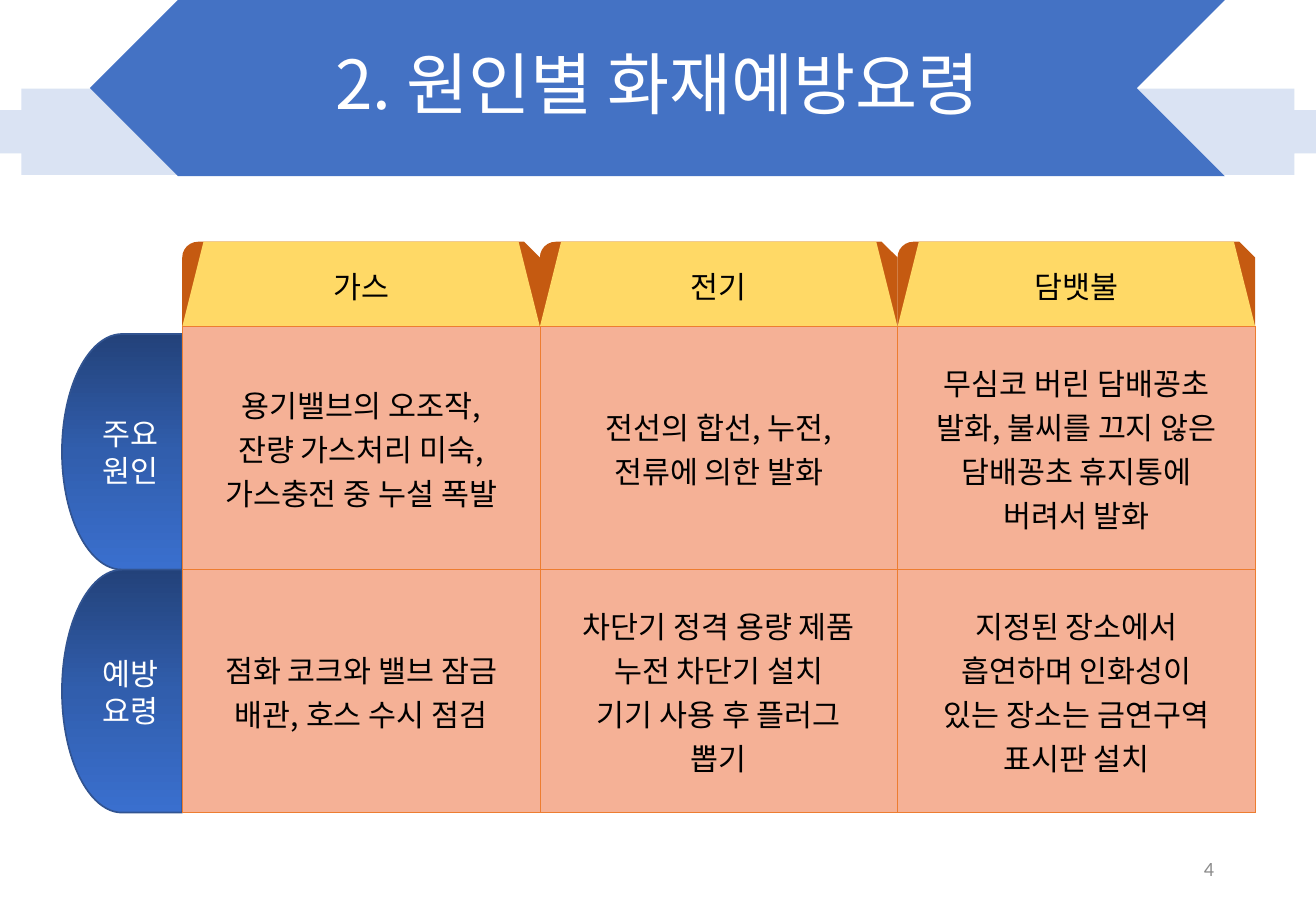
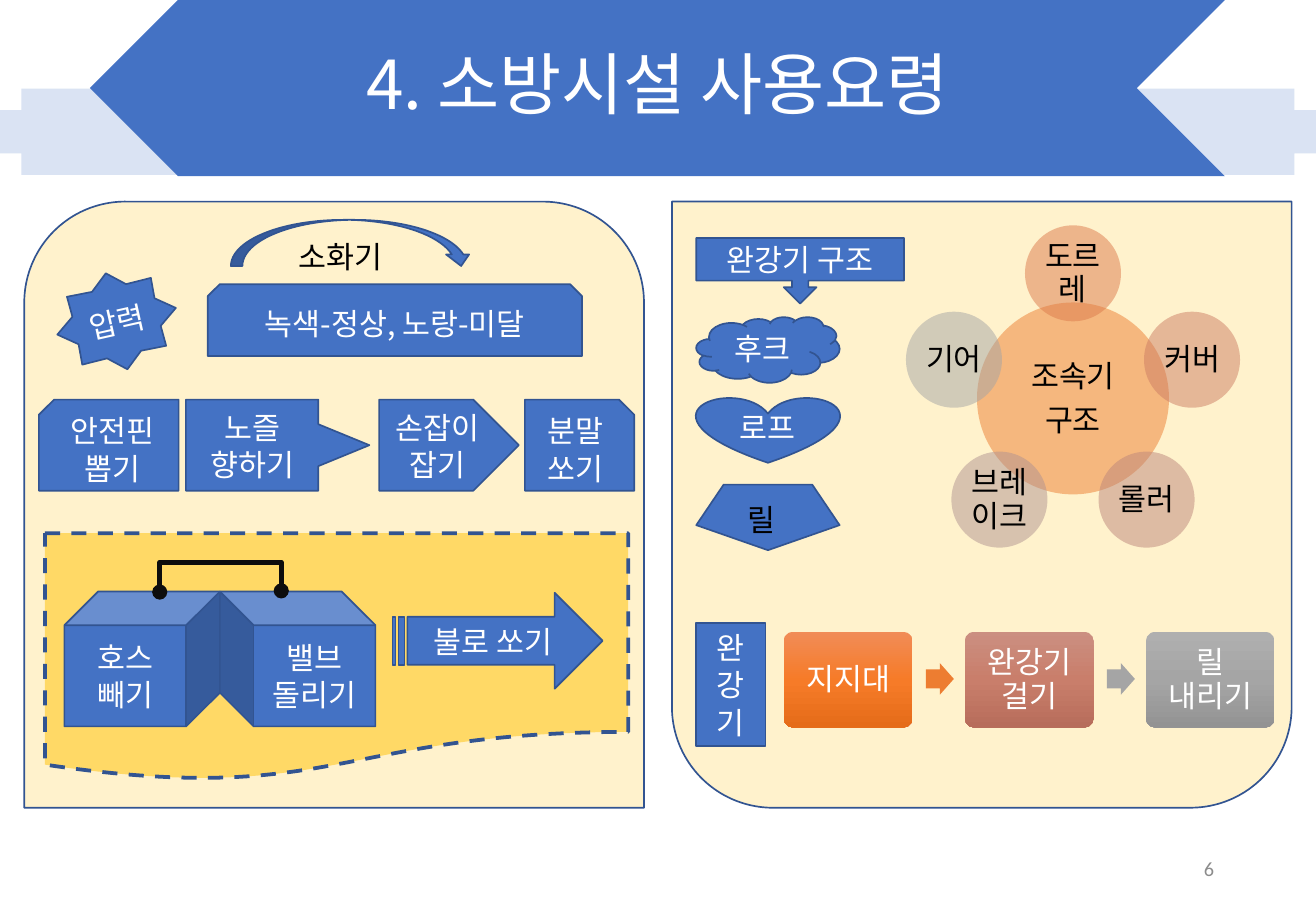
import math

from lxml import etree
from pptx import Presentation
from pptx import util as u
from pptx.dml import color
from pptx.enum import dml, shapes, text
from pptx.oxml import ns

SHAPE = shapes.MSO_SHAPE
ALIGN = text.PP_ALIGN
COLORS = {
    "blue": "4472C4", "outline": "325491", "pale_blue": "DAE3F3",
    "cream": "FFF2CC", "yellow": "FFD966", "brown": "C55A11",
    "salmon": "F5B196", "orange": "ED7D31", "gray": "A5A5A5",
    "number": "8C8C8C", "white": "FFFFFF", "black": "000000", "handle": "0D0D0D",
    "pulley": "DC7A4B", "cover": "CC7D64", "roller": "BD867B", "brake": "B09391",
}
NAVY = ("23427A", "315EAD", "3A6FCE")
KOREAN = "Noto Sans CJK KR"
LINE_PITCH = u.Pt(22)
TIGHT_PITCH = u.Pt(20)


def rgb(name):
    return color.RGBColor.from_string(COLORS.get(name, name))


def assign(target, values):
    for name, value in values.items():
        setattr(target, name, value)


def add_xml(parent, tag, **attributes):
    return etree.SubElement(parent, ns.qn(tag), **attributes)


class Deck:
    """Holds the shared style and the current slide, and draws each kind of element."""

    def __init__(self):
        self.prs = Presentation()
        assign(self.prs, {"slide_width": u.Inches(10.83), "slide_height": u.Inches(7.5)})
        self.slide = self.canvas = None

    def new_slide(self, title, number):
        self.slide = self.prs.slides.add_slide(self.prs.slide_layouts[5])
        self.canvas = self.slide.shapes
        self.shape(SHAPE.CROSS, (0, 0.73, 10.83, 0.71), "pale_blue")
        ribbon = (0.74, 0, 9.34, 1.45)
        self.shape(SHAPE.CHEVRON, ribbon, "blue", flip="H")
        heading = self.slide.shapes.title
        names = ("left", "top", "width", "height")
        assign(heading, dict(zip(names, map(u.Inches, ribbon))))
        self.set_words(heading.text_frame, title, ink="white", size=40, pitch=0.9)
        self.canvas.element.append(heading.element)
        self.label((7.65, 6.95, 2.44, 0.4), number, ink="number", size=12,
                   font="Calibri", align=ALIGN.RIGHT, pitch=None)

    def group(self):
        self.canvas = self.slide.shapes.add_group_shape().shapes

    def set_words(self, frame, words, ink="white", size=18, font=KOREAN,
                  align=ALIGN.CENTER, pitch=LINE_PITCH, after=0, inset=None):
        frame.text = words
        assign(frame, {"word_wrap": True, "auto_size": text.MSO_AUTO_SIZE.NONE,
                       "vertical_anchor": text.MSO_ANCHOR.MIDDLE})
        if inset is not None:
            sides = ("left", "top", "right", "bottom")
            assign(frame, {f"margin_{side}": u.Inches(inset) for side in sides})
        for paragraph in frame.paragraphs:
            assign(paragraph, {"alignment": align, "line_spacing": pitch,
                               "space_before": u.Pt(0), "space_after": u.Pt(after)})
            for run in paragraph.runs:
                assign(run.font, {"size": u.Pt(size), "name": font})
                run.font.color.rgb = rgb(ink)
                add_xml(run.font._element, "a:ea", typeface=font)

    def label(self, box, words, **style):
        area = self.canvas.add_textbox(*map(u.Inches, box))
        self.set_words(area.text_frame, words, **style)

    def shape(self, kind, box, fill, words="", line=None, weight=1, dash=None,
              flip="", rotation=0, adjust=(), alpha=None, **style):
        item = self.canvas.add_shape(kind, *map(u.Inches, box))
        item.shadow.inherit = False
        item.rotation = rotation
        for index, value in enumerate(adjust):
            item.adjustments[index] = value
        for axis in flip:
            item.element.spPr.xfrm.set(f"flip{axis}", "1")
        if isinstance(fill, tuple):
            self.gradient(item, fill)
        else:
            item.fill.solid()
            item.fill.fore_color.rgb = rgb(fill)
        if alpha:
            paint = item.element.spPr.find(".//" + ns.qn("a:srgbClr"))
            add_xml(paint, "a:alpha", val=str(alpha * 1000))
        if line:
            item.line.color.rgb = rgb(line)
            assign(item.line, {"width": u.Pt(weight), "dash_style": dash})
        else:
            item.line.fill.background()
        if words:
            self.set_words(item.text_frame, words, **style)

    def gradient(self, item, stops):
        item.fill.gradient()
        item.fill.gradient_angle = 270
        stop_list = item.element.spPr.find(".//" + ns.qn("a:gsLst"))
        stop_list[:] = []
        for index, stop in enumerate(stops):
            add_xml(add_xml(stop_list, "a:gs", pos=str(index * 50000)),
                    "a:srgbClr", val=stop)

    def blue(self, kind, box, words="", **options):
        self.shape(kind, box, "blue", words, line="outline", **options)

    def handle(self, start, end, bend):
        bar = self.canvas.add_connector(shapes.MSO_CONNECTOR.ELBOW,
                                        *map(u.Inches, start + end))
        bar.line.color.rgb = rgb("handle")
        bar.line.width = u.Pt(3)
        properties = bar.element.spPr
        properties.xfrm.set("rot", "5400000")
        geometry = properties.find(ns.qn("a:prstGeom"))
        guides = geometry.find(ns.qn("a:avLst"))
        if guides is None:
            guides = add_xml(geometry, "a:avLst")
        add_xml(guides, "a:gd", name="adj1", fmla=f"val {bend * 100000}")
        outline = properties.find(ns.qn("a:ln"))
        for tag in ("a:headEnd", "a:tailEnd"):
            add_xml(outline, tag, type="oval")
        add_xml(properties, "a:effectLst")

    def table(self, box, rows):
        frame = self.canvas.add_table(len(rows), len(rows[0]), *map(u.Inches, box))
        grid = frame.table
        assign(grid, {"first_row": False, "horz_banding": False})
        for row, contents in enumerate(rows):
            for column, words in enumerate(contents):
                self.cell(grid.cell(row, column), words)

    def cell(self, cell, words):
        self.set_words(cell.text_frame, words, ink="black", pitch=None)
        cell.vertical_anchor = text.MSO_ANCHOR.MIDDLE
        cell.fill.solid()
        cell.fill.fore_color.rgb = rgb("salmon")
        properties = cell._tc.get_or_add_tcPr()
        for index, side in enumerate("LRTB"):
            border = add_xml(properties, f"a:ln{side}", w=str(u.Pt(0.5)))
            add_xml(add_xml(border, "a:solidFill"), "a:srgbClr", val=COLORS["orange"])
            properties.insert(index, border)


def causes_slide(deck):
    deck.new_slide("2. 원인별 화재예방요령", "4")
    left, width = 1.5, 8.83
    column = width / 3
    for index, cause in enumerate(("가스", "전기", "담뱃불")):
        x = left + index * column
        deck.shape(SHAPE.SNIP_ROUND_RECTANGLE, (x, 1.99, column, 0.78), "brown")
        deck.shape(SHAPE.TRAPEZOID, (x, 1.99, column, 0.7), "yellow", cause, ink="black")
    for top, height, heading in ((2.75, 1.94, "주요\n원인"), (4.69, 2, "예방\n요령")):
        deck.shape(SHAPE.FLOWCHART_DELAY, (0.51, top, 0.99, height), NAVY, heading,
                   line="outline", flip="H")
    deck.table((left, 2.69, width, 4), [
        ("용기밸브의 오조작,\n잔량 가스처리 미숙,\n가스충전 중 누설 폭발",
         "전선의 합선, 누전,\n전류에 의한 발화",
         "무심코 버린 담배꽁초\n발화, 불씨를 끄지 않은\n담배꽁초 휴지통에\n버려서 발화"),
        ("점화 코크와 밸브 잠금\n배관, 호스 수시 점검",
         "차단기 정격 용량 제품\n누전 차단기 설치\n기기 사용 후 플러그\n뽑기",
         "지정된 장소에서\n흡연하며 인화성이\n있는 장소는 금연구역\n표시판 설치"),
    ])


def extinguisher_panel(deck):
    deck.group()
    deck.shape(SHAPE.ROUND_2_SAME_RECTANGLE, (0.2, 1.66, 5.1, 4.99), "cream",
               line="outline")
    deck.blue(SHAPE.SNIP_2_SAME_RECTANGLE, (1.71, 2.34, 3.08, 0.59), "녹색-정상, 노랑-미달")
    deck.blue(SHAPE.STAR_8_POINT, (0.46, 2.24, 1, 0.81), "압력", rotation=347.3)
    deck.blue(SHAPE.CURVED_DOWN_ARROW, (1.9, 1.81, 1.99, 0.38))
    deck.label((2.36, 1.91, 1.37, 0.4), "소화기", ink="black", align=ALIGN.LEFT)
    steps = (
        (SHAPE.SNIP_1_RECTANGLE, 0.32, 1.15, "안전핀\n뽑기", {"flip": "H"}),
        (SHAPE.RIGHT_ARROW_CALLOUT, 1.53, 1.51, "노즐\n향하기",
         {"adjust": (0.47, 0.23, 0.56, 0.73)}),
        (SHAPE.PENTAGON, 3.12, 1.15, "손잡이\n잡기", {}),
        (SHAPE.SNIP_1_RECTANGLE, 4.32, 0.9, "분말\n쏘기", {}),
    )
    for kind, x, width, step, options in steps:
        deck.blue(kind, (x, 3.29, width, 0.75), step, **options)
    deck.shape(SHAPE.FLOWCHART_DOCUMENT, (0.37, 4.39, 4.8, 2.04), "yellow",
               line="outline", weight=2.25, dash=dml.MSO_LINE.DASH)
    for x, step, flip in ((0.53, "호스\n빼기", ""), (1.81, "밸브\n돌리기", "H")):
        deck.blue(SHAPE.CUBE, (x, 4.87, 1.28, 1.11), step, flip=flip)
    deck.handle((1.82, 5.37), (1.81, 4.37), bend=25)
    deck.blue(SHAPE.STRIPED_RIGHT_ARROW, (3.23, 4.88, 1.73, 0.79), "불로 쏘기")


def descender_panel(deck):
    deck.group()
    deck.shape(SHAPE.ROUND_2_SAME_RECTANGLE, (5.53, 1.66, 5.1, 4.99), "cream",
               line="outline", flip="V")

    center_x, center_y, orbit = 8.83, 3.28, 1.03

    def circle(x, y, size, fill, words):
        deck.shape(SHAPE.OVAL, (x - size / 2, y - size / 2, size, size), fill, words,
                   alpha=50, ink="black", pitch=TIGHT_PITCH, after=6.3, inset=0.03)

    circle(center_x, center_y, 1.58, "orange", "조속기\n구조")
    parts = (("pulley", "도르레"), ("cover", "커버"), ("roller", "롤러"),
             ("brake", "브레\v이크"), ("gray", "기어"))
    for index, (fill, part) in enumerate(parts):
        angle = math.tau * index / len(parts)
        circle(center_x + orbit * math.sin(angle), center_y - orbit * math.cos(angle),
               0.79, fill, part)

    steps = (("지지대", ("F18C57", "F67B28", "E56C19"), "orange"),
             ("완강기\v걸기", ("CB8F81", "C97E6B", "B76D5B"), "gray"),
             ("릴\v내리기", ("AFAFAF", "A5A5A5", "939393"), None))
    for index, (step, stops, arrow) in enumerate(steps):
        x = 6.45 + 1.49 * index
        deck.shape(SHAPE.ROUNDED_RECTANGLE, (x, 5.2, 1.06, 0.79), stops, step,
                   adjust=(0.1,), pitch=TIGHT_PITCH, inset=0.07)
        if arrow:
            deck.shape(SHAPE.RIGHT_ARROW, (x + 1.17, 5.46, 0.23, 0.26), arrow,
                       adjust=(0.6, 0.5))

    components = (
        (SHAPE.DOWN_ARROW_CALLOUT, 1.96, 1.71, 0.54, "완강기 구조", ""),
        (SHAPE.CLOUD, 2.61, 1.18, 0.54, "후크", ""),
        (SHAPE.HEART, 3.27, 1.18, 0.54, "로프", ""),
        (SHAPE.REGULAR_PENTAGON, 3.99, 1.18, 0.54, "", "V"),
        (SHAPE.RECTANGLE, 5.13, 0.57, 1.01, "완강기", ""),
    )
    for kind, top, width, height, component, flip in components:
        deck.blue(kind, (5.73, top, width, height), component, flip=flip)
    deck.label((6.05, 4.07, 0.6, 0.4), "릴", ink="black", align=ALIGN.LEFT)


def main():
    deck = Deck()
    causes_slide(deck)
    deck.new_slide("4. 소방시설 사용요령", "6")
    extinguisher_panel(deck)
    descender_panel(deck)
    deck.prs.save("out.pptx")


if __name__ == "__main__":
    main()
